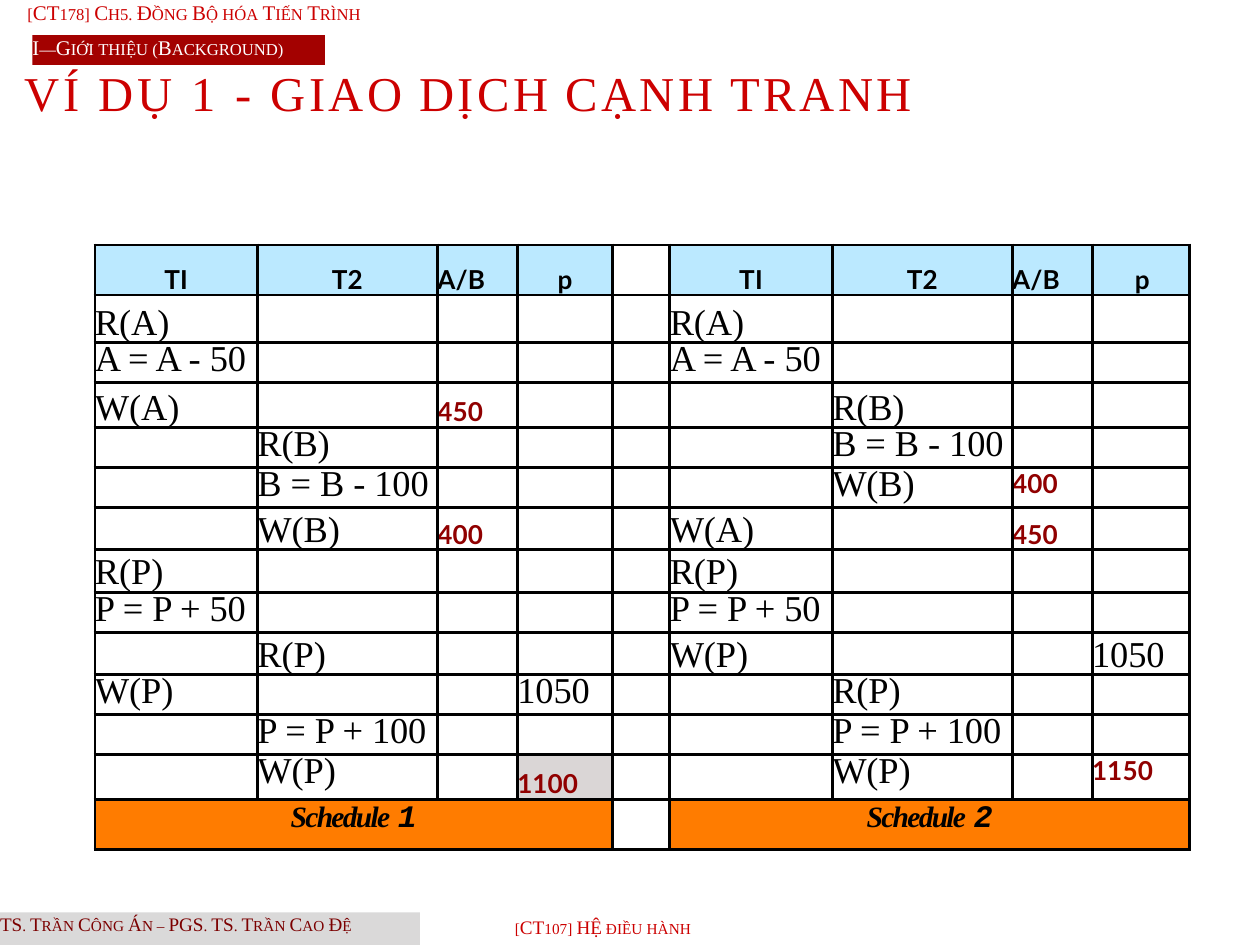
from pptx import Presentation
from pptx import util as u
from pptx.dml.color import RGBColor
from pptx.enum import shapes, text
from pptx.oxml import parse_xml
from pptx.oxml.ns import nsdecls

W, H = 5.04, 3.78
SERIF, SANS, MONO = "Times New Roman", "Lato", "Courier New"
BLACK, WHITE, RED, DARK_RED = "000000", "FFFFFF", "CC0000", "900000"
HEADER, SCHEDULE, HIGHLIGHT = "BBE9FF", "FF7C00", "DAD6D6"
LEFT, CENTER, RIGHT = text.PP_ALIGN.LEFT, text.PP_ALIGN.CENTER, text.PP_ALIGN.RIGHT
TOP, BOTTOM = text.MSO_ANCHOR.TOP, text.MSO_ANCHOR.BOTTOM

COLUMNS = [0.65, 0.72, 0.32, 0.38, 0.23, 0.65, 0.72, 0.32, 0.39]
ROWS = [0.2, 0.19, 0.16, 0.18, 0.16, 0.16, 0.17, 0.17, 0.16, 0.17, 0.16, 0.16, 0.18, 0.2]
BOTTOM_ROWS = {0, 1, 3, 6, 7, 9}
RESULTS = {"450", "400", "1100", "1150"}
HALF = 5  # columns from the first schedule to the second

# Each step is (column in the schedule, text), then the value it writes
SCHEDULES = [
    [(0, "R(A)"), (0, "A = A - 50"), (0, "W(A)", 2, "450"),
     (1, "R(B)"), (1, "B = B - 100"), (1, "W(B)", 2, "400"),
     (0, "R(P)"), (0, "P = P + 50"), (1, "R(P)"), (0, "W(P)", 3, "1050"),
     (1, "P = P + 100"), (1, "W(P)", 3, "1100")],
    [(0, "R(A)"), (0, "A = A - 50"), (1, "R(B)"),
     (1, "B = B - 100"), (1, "W(B)", 2, "400"), (0, "W(A)", 2, "450"),
     (0, "R(P)"), (0, "P = P + 50"), (0, "W(P)", 3, "1050"), (1, "R(P)"),
     (1, "P = P + 100"), (1, "W(P)", 3, "1150")],
]


def color(value):
    return RGBColor.from_string(value)


def add_text(p, content, size=10.5, font=SERIF, fill=BLACK, bold=False,
             italic=False, caps=False, spacing=0):
    r = p.add_run()
    r.text = content
    f = r.font
    f.size, f.name, f.bold, f.italic = u.Pt(size), font, bold, italic
    f.color.rgb = color(fill)
    props = r._r.get_or_add_rPr()
    if caps:
        props.set("cap", "small")
    if spacing:
        props.set("spc", str(int(spacing * 100)))


def clear_frame(tf):
    tf.margin_left = tf.margin_right = tf.margin_top = tf.margin_bottom = 0
    tf.word_wrap = True
    tf.vertical_anchor = TOP
    tf.paragraphs[0].alignment = LEFT
    return tf.paragraphs[0]


def add_label(s, box, content, size, fill, band=None):
    box = [u.Inches(v) for v in box]
    if band:
        sp = s.shapes.add_shape(shapes.MSO_SHAPE.RECTANGLE, *box)
        sp.shadow.inherit = False
        sp.fill.solid()
        sp.fill.fore_color.rgb = color(band)
        sp.line.fill.background()
    else:
        sp = s.shapes.add_textbox(*box)
    add_text(clear_frame(sp.text_frame), content, size, fill=fill, caps=True)


# Chapter, section and slide title
def add_heading(s, left, top):
    add_label(s, (left, top, W / 3, 0.13), "[CT178] Ch5. Đồng Bộ hóa Tiến Trình", 6, RED)
    add_label(s, (left + 0.02, top + 0.14, 1.17, 0.12),
              "I—Giới thiệu (Background)", 6, WHITE, "A30100")
    title = s.shapes.title
    title.left, title.top = u.Inches(left - 0.01), u.Inches(top + 0.25)
    title.width, title.height = u.Inches(3.89), u.Inches(0.47)
    p = clear_frame(title.text_frame)
    title.text_frame.auto_size = text.MSO_AUTO_SIZE.NONE
    p.space_after = u.Pt(14.7)
    add_text(p, "VÍ DỤ 1 - ", 14, fill=RED, spacing=1)
    add_text(p, "GIAO DỊCH CẠNH TRANH", 14, fill=RED, spacing=1, caps=True)


# Authors and course
def add_footer(s, top):
    add_label(s, (0, top, W / 3, H - top), "TS. Trần Công Án – PGS. TS. Trần Cao Đệ",
              5.5, "7B0000", "DAD9D9")
    add_label(s, (2.06, top + 0.01, 0.94, 0.12), "[CT107] HỆ điều hành", 5.5, RED)


def format_cell(cell, anchor):
    cell.margin_left = cell.margin_right = cell.margin_top = cell.margin_bottom = 0
    cell.vertical_anchor = anchor
    props = cell._tc.get_or_add_tcPr()
    for side in "LRTB":
        props.append(parse_xml(
            f'<a:ln{side} {nsdecls("a")} w="{u.Pt(1)}"><a:solidFill>'
            f'<a:srgbClr val="{BLACK}"/></a:solidFill></a:ln{side}>'))
    cell.fill.background()
    cell.text_frame.paragraphs[0]._p.get_or_add_endParaRPr().set("sz", "600")


def paint(cell, fill):
    cell.fill.solid()
    cell.fill.fore_color.rgb = color(fill)


def fill_schedule(table, first, number, steps):
    # Header
    for c, name in enumerate(["TI", "T2", "A/B", "p"]):
        cell = table.cell(0, first + c)
        paint(cell, HEADER)
        p = cell.text_frame.paragraphs[0]
        p.alignment = [CENTER, CENTER, LEFT, RIGHT][c]
        if name == "p":
            cell.margin_right = u.Inches(0.16)
        add_text(p, name, 7.5, SANS, bold=True)
    # Steps and the values they write
    for row, step in enumerate(steps, 1):
        for c, content in zip(step[::2], step[1::2]):
            cell = table.cell(row, first + c)
            p = cell.text_frame.paragraphs[0]
            if content in RESULTS:
                add_text(p, content, 7.5, SANS, DARK_RED, bold=True)
            else:
                p.line_spacing = 0.9
                add_text(p, content)
            if content == "1100":
                cell.vertical_anchor = BOTTOM
                paint(cell, HIGHLIGHT)
    # Name of the schedule
    last = len(ROWS) - 1
    cell = table.cell(last, first)
    cell.merge(table.cell(last, first + 3))
    paint(cell, SCHEDULE)
    p = cell.text_frame.paragraphs[0]
    p.alignment = CENTER
    add_text(p, "Schedule", 8.5, bold=True, italic=True, spacing=-0.5)
    add_text(p, " ", 9, italic=True)
    add_text(p, str(number), 9, MONO, bold=True, italic=True)


def add_schedules(s, left, top):
    frame = s.shapes.add_table(len(ROWS), len(COLUMNS), u.Inches(left), u.Inches(top),
                               u.Inches(sum(COLUMNS)), u.Inches(sum(ROWS)))
    table = frame.table
    table.first_row = table.horz_banding = False
    for column, width in zip(table.columns, COLUMNS):
        column.width = u.Inches(width)
    for i, (row, height) in enumerate(zip(table.rows, ROWS)):
        row.height = u.Inches(height)
        for cell in row.cells:
            format_cell(cell, BOTTOM if i in BOTTOM_ROWS else TOP)
    for i, steps in enumerate(SCHEDULES):
        fill_schedule(table, i * HALF, i + 1, steps)


def main():
    prs = Presentation()
    prs.slide_width, prs.slide_height = u.Inches(W), u.Inches(H)
    s = prs.slides.add_slide(prs.slide_layouts[5])
    add_heading(s, 0.11, 0)
    add_schedules(s, 0.38, 0.98)
    add_footer(s, 3.65)
    prs.save("out.pptx")


if __name__ == "__main__":
    main()
